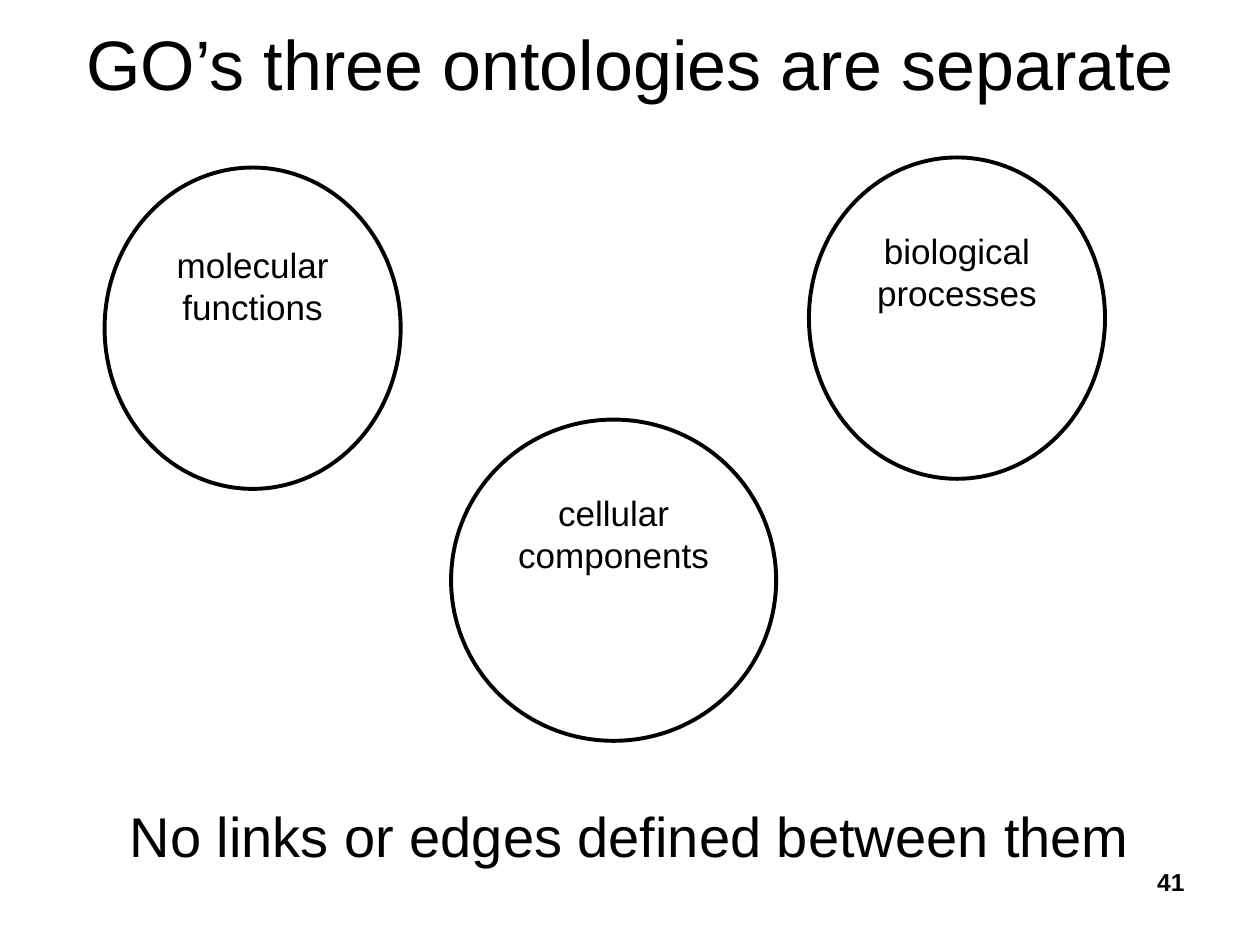
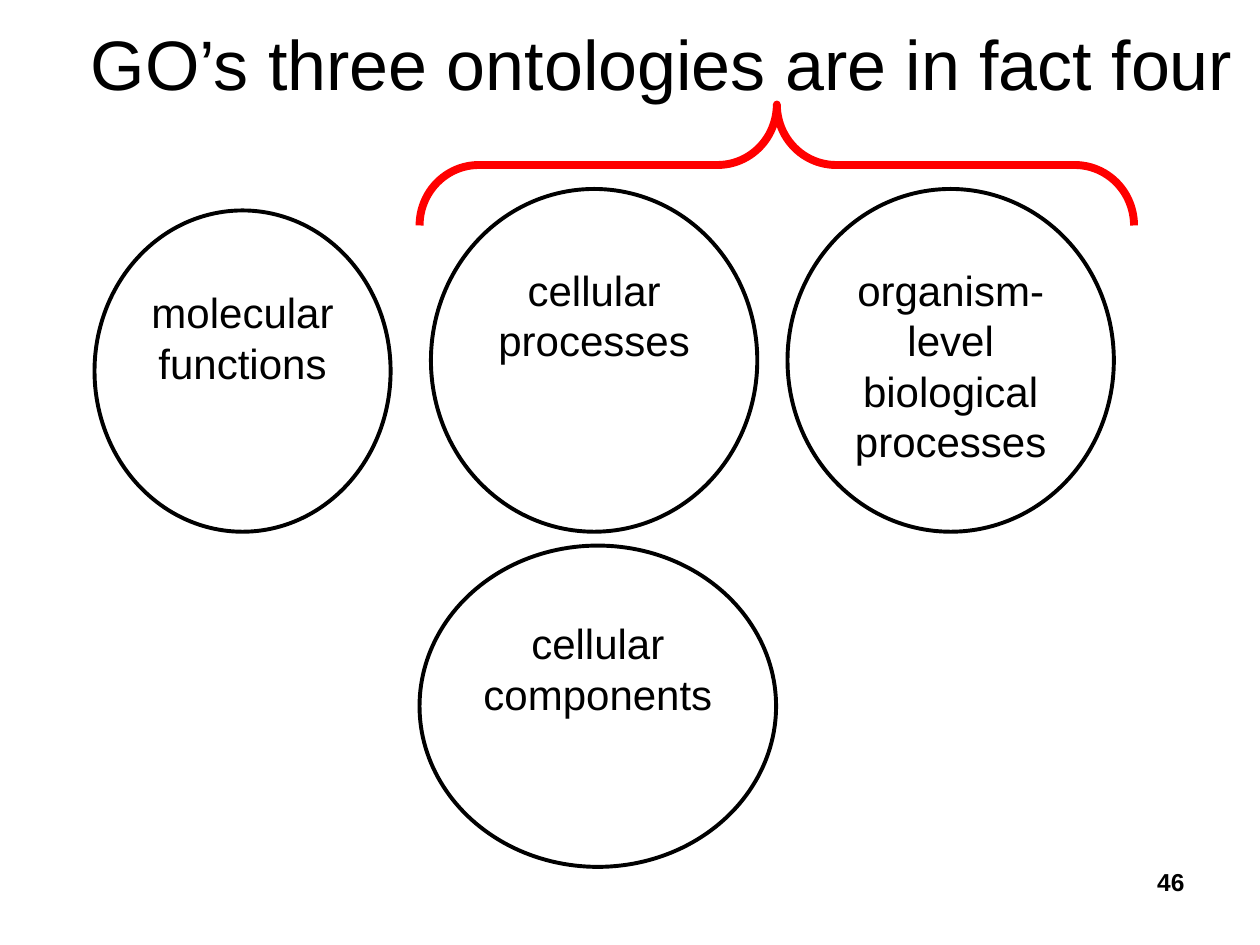
from lxml import etree
from pptx import Presentation
from pptx.dml.color import RGBColor
from pptx.enum import shapes, text
from pptx.oxml.ns import qn
from pptx.util import Inches, Pt

FONT = "Arial"
COLORS = {"ink": "000000", "paper": "FFFFFF", "brace": "FF0000"}
LINE = 1.15  # line height in relation to text size


def color(name):
    return RGBColor.from_string(COLORS[name])


def place(shape, box):
    shape.left, shape.top, shape.width, shape.height = map(Inches, box)


def write(frame, lines, size, align=text.PP_ALIGN.CENTER, bold=False):
    """Fill the frame with one paragraph for each line."""
    frame.word_wrap = True
    frame.auto_size = text.MSO_AUTO_SIZE.NONE
    for i, line in enumerate(lines):
        para = frame.add_paragraph() if i else frame.paragraphs[0]
        para.alignment = align
        run = para.add_run()
        run.text = line
        run.font.name, run.font.size, run.font.bold = FONT, Pt(size), bold
        run.font.color.rgb = color("ink")


def outline(shape, name, width):
    shape.shadow.inherit = False
    shape.line.color.rgb = color(name)
    shape.line.width = Pt(width)


def start(deck, layout, title, number, width=9):
    """Add a slide with its title and page number."""
    slide = deck.slides.add_slide(deck.slide_layouts[layout])
    place(slide.shapes.title, (0.5, 0, width, 1))
    frame = slide.shapes.title.text_frame
    frame.vertical_anchor = text.MSO_ANCHOR.MIDDLE
    write(frame, [title], 40)
    page = slide.shapes.add_textbox(*map(Inches, (7.17, 6.83, 2.33, 0.52)))
    write(page.text_frame, [str(number)], 14, text.PP_ALIGN.RIGHT, True)
    return slide


def circle(slide, box, lines, size, gap=10):
    """Add an oval whose text starts a gap, in points, below its top inset."""
    oval = slide.shapes.add_shape(shapes.MSO_SHAPE.OVAL, *map(Inches, box))
    oval.fill.solid()
    oval.fill.fore_color.rgb = color("paper")
    outline(oval, "ink", 2.25)
    frame = oval.text_frame
    frame.vertical_anchor = text.MSO_ANCHOR.TOP
    frame.margin_left = frame.margin_right = Inches(0.09)
    frame.margin_top = Inches(0.04) + Pt(gap * LINE)
    frame.margin_bottom = Inches(0.04)
    write(frame, lines, size)


def caption(slide, line, box):
    """Put one unbulleted, centred line in the body placeholder."""
    body = slide.placeholders[1]
    place(body, box)
    para = body.text_frame.paragraphs[0]
    props = para._p.get_or_add_pPr()
    props.set("marL", "0")
    props.set("indent", "0")
    etree.SubElement(props, qn("a:buNone"))
    para.space_before = Pt(0)
    write(body.text_frame, [line], 32)


def brace(slide, left, top, width, height):
    """Add a brace that opens downwards: a left brace turned by 90 degrees."""
    x, y = left + (width - height) / 2, top + (height - width) / 2
    mark = slide.shapes.add_shape(
        shapes.MSO_SHAPE.LEFT_BRACE, *map(Inches, (x, y, height, width)))
    mark.rotation = 90
    mark.adjustments[0] = 0.49
    mark.fill.background()
    outline(mark, "brace", 4.5)


def main():
    deck = Presentation()
    deck.slide_width, deck.slide_height = Inches(10), Inches(7.5)

    apart = start(deck, 1, "GO’s three ontologies are separate", 41)
    caption(apart, "No links or edges defined between them", (0.5, 6.31, 9, 1.02))
    circle(apart, (0.83, 1.33, 2.35, 2.55), ["molecular functions"], 20, 12)
    circle(apart, (3.58, 3.33, 2.58, 2.55), ["cellular components"], 20)
    circle(apart, (6.42, 1.25, 2.35, 2.55), ["biological processes"], 20)

    four = start(deck, 5, "GO’s three ontologies are in fact four", 46, 9.5)
    circle(four, (0.75, 1.67, 2.35, 2.55), ["molecular functions"], 24, 12)
    circle(four, (3.33, 4.33, 2.83, 2.55), ["cellular components"], 24)
    kinds = (["cellular", "processes"], ["organism-level", "biological processes"])
    for i, lines in enumerate(kinds):
        circle(four, (3.42 + 2.83 * i, 1.5, 2.59, 2.72), lines, 24)
    brace(four, 3.33, 0.83, 5.67, 0.96)

    deck.save("out.pptx")


if __name__ == "__main__":
    main()
